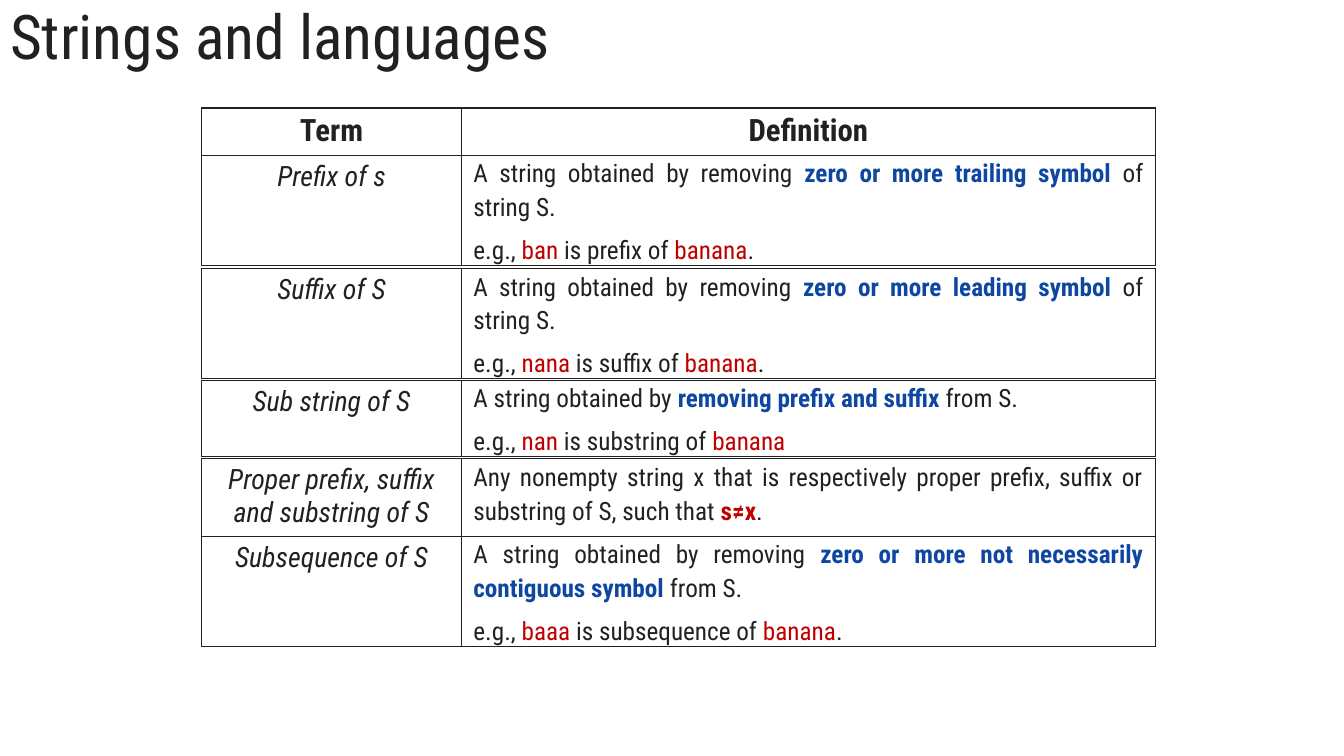
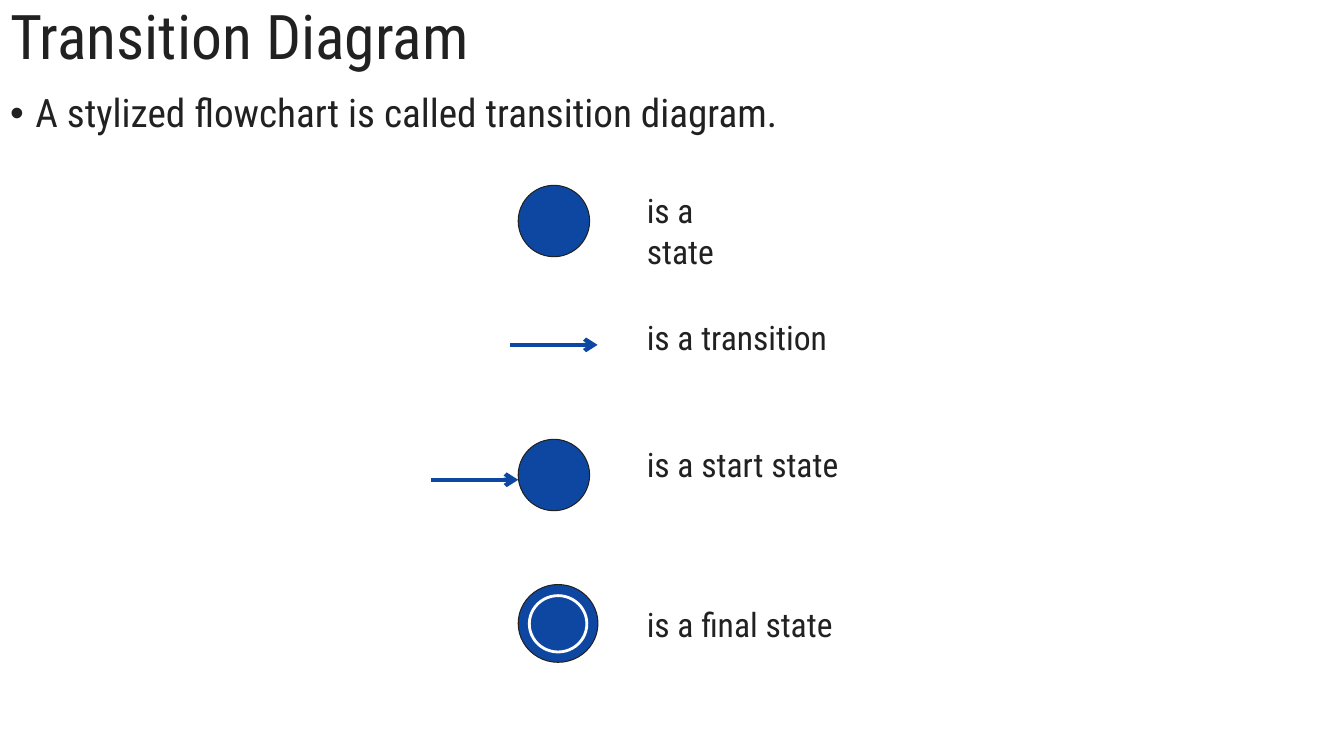
"""Build two slides on string terms and on the symbols of a transition diagram."""
from dataclasses import dataclass
from typing import Any, NamedTuple

from lxml import etree
from pptx import Presentation
from pptx.dml.color import RGBColor
from pptx.enum.shapes import MSO_CONNECTOR, MSO_SHAPE
from pptx.enum.text import MSO_ANCHOR, MSO_AUTO_SIZE, PP_ALIGN
from pptx.oxml.ns import qn
from pptx.util import Cm, Pt

LEFT, CENTER, JUSTIFY = PP_ALIGN.LEFT, PP_ALIGN.CENTER, PP_ALIGN.JUSTIFY
TOP, MIDDLE = MSO_ANCHOR.TOP, MSO_ANCHOR.MIDDLE
FIXED, GROW = MSO_AUTO_SIZE.NONE, MSO_AUTO_SIZE.SHAPE_TO_FIT_TEXT
OVAL, STRAIGHT = MSO_SHAPE.OVAL, MSO_CONNECTOR.STRAIGHT

FONT = "Roboto Condensed"
INK, BLUE, RED, WHITE = "212121", "0E47A1", "C00000", "FFFFFF"
SLIDE_WIDTH, SLIDE_HEIGHT = 33.87, 19.05
TITLE_ONLY, TITLE_AND_CONTENT = 5, 1
TABLE_LEFT, TERM_WIDTH, DEFINITION_WIDTH = 5.08, 6.55, 17.48
STATE_LEFT, STATE_SIZE = 13.06, 1.8
ARROW_LENGTH, MEANING_LEFT, MEANING_HEIGHT = 2.21, 16.05, 1.3

TITLE_FORMAT = {"alignment": LEFT, "line_spacing": 0.9, "space_before": Pt(0)}
BODY_FORMAT = {"alignment": LEFT, "line_spacing": 0.9, "space_before": Pt(0)}
TERM_FORMAT = {"alignment": CENTER}
DEFINITION_FORMAT = {"alignment": JUSTIFY, "line_spacing": 1.15, "space_after": Pt(6)}
DEFINITION_MARGINS = {"margin_left": Cm(0.3), "margin_right": Cm(0.3),
                      "margin_top": 0, "margin_bottom": 0}


class Piece(NamedTuple):
    """Hold a stretch of text with its colour and weight."""
    text: str
    color: str = INK
    bold: bool = False


@dataclass
class Entry:
    """Describe one term with the paragraphs of its definition."""
    term: str
    top: float
    height: float
    definition: list[list[Piece]]


@dataclass
class Circle:
    """Describe one circle of a state symbol."""
    left: float
    top: float
    width: float
    height: float
    outline: str = INK
    weight: float = 0.75


@dataclass
class Meaning:
    """Describe the words beside a symbol."""
    text: str
    top: float
    width: float
    wrap: bool = False


def example(part: str, relation: str, end: str = ".") -> list[Piece]:
    """Return the example line of a definition."""
    line = [Piece("e.g., "), Piece(part, RED), Piece(f" is {relation} of "), Piece("banana", RED)]
    return line + [Piece(end)] if end else line


ENTRIES = [
    Entry("Prefix of s", 3.91, 2.77, [
        [Piece("A string obtained by removing "),
         Piece("zero or more trailing symbol ", BLUE, True), Piece("of string S.")],
        example("ban", "prefix")]),
    Entry("Suffix of S", 6.76, 2.77, [
        [Piece("A string obtained by removing "),
         Piece("zero or more leading symbol ", BLUE, True), Piece("of string S.")],
        example("nana", "suffix")]),
    Entry("Sub string of S", 9.58, 1.9, [
        [Piece("A string obtained by "),
         Piece("removing prefix and suffix ", BLUE, True), Piece("from S.")],
        example("nan", "substring", "")]),
    Entry("Proper prefix, suffix and substring of S", 11.56, 1.96, [
        [Piece("Any nonempty string x that is respectively proper prefix, "
               "suffix or substring of S, such that "),
         Piece("s≠x", RED, True), Piece(".")]]),
    Entry("Subsequence of S", 13.51, 2.77, [
        [Piece("A string obtained by removing "),
         Piece("zero or more not necessarily contiguous symbol ", BLUE, True), Piece("from S.")],
        example("baaa", "subsequence")]),
]
CIRCLES = [
    Circle(STATE_LEFT, 4.67, STATE_SIZE, STATE_SIZE),
    Circle(STATE_LEFT, 11.07, STATE_SIZE, STATE_SIZE),
    Circle(STATE_LEFT, 14.73, 2.01, 1.96),
    Circle(13.34, 15.01, 1.45, 1.42, WHITE, 2),
]
ARROWS = [(12.85, 8.69), (STATE_LEFT - ARROW_LENGTH, 12.09)]
MEANINGS = [
    Meaning("is a state", 4.67, 2.6, True),
    Meaning("is a transition", 7.87, 5.16),
    Meaning("is a start state", 11.07, 5.51),
    Meaning("is a final state", 15.09, 5.23),
]


def rgb(color: str) -> RGBColor:
    """Return the colour of a hex string."""
    return RGBColor.from_string(color)


def apply(target: Any, values: dict[str, Any]) -> None:
    """Set the attributes of a target from a dict."""
    for name, value in values.items():
        setattr(target, name, value)


def write(paragraph: Any, pieces: list[Piece], size: float, layout: dict[str, Any],
          italic: bool = False) -> None:
    """Fill a paragraph with formatted pieces."""
    apply(paragraph, layout)
    for piece in pieces:
        run = paragraph.add_run()
        run.text = piece.text
        apply(run.font, {"name": FONT, "size": Pt(size), "bold": piece.bold, "italic": italic})
        run.font.color.rgb = rgb(piece.color)


def place(holder: Any, left: float, top: float, width: float, height: float) -> None:
    """Move a placeholder to a place given in centimetres."""
    apply(holder, {"left": Cm(left), "top": Cm(top), "width": Cm(width), "height": Cm(height)})


def add_titled_slide(deck: Any, layout: int, heading: str) -> Any:
    """Add a slide with its title."""
    slide = deck.slides.add_slide(deck.slide_layouts[layout])
    title = slide.shapes.title
    place(title, 0, 0, SLIDE_WIDTH, 1.98)
    apply(title.text_frame, {"vertical_anchor": MIDDLE, "auto_size": FIXED})
    write(title.text_frame.paragraphs[0], [Piece(heading)], 44, TITLE_FORMAT)
    return slide


def outline_cell(cell: Any) -> None:
    """Give a cell thin borders and no fill."""
    properties = cell._tc.get_or_add_tcPr()
    for side in ("lnL", "lnR", "lnT", "lnB"):
        border = etree.SubElement(properties, qn(f"a:{side}"), w=str(Pt(1)))
        fill = etree.SubElement(border, qn("a:solidFill"))
        etree.SubElement(fill, qn("a:srgbClr"), val=INK)
    cell.fill.background()


def add_row_table(slide: Any, top: float, height: float) -> tuple[Any, Any]:
    """Add a table of one row and return its two cells."""
    frame = slide.shapes.add_table(1, 2, Cm(TABLE_LEFT), Cm(top),
                                   Cm(TERM_WIDTH + DEFINITION_WIDTH), Cm(height))
    table = frame.table
    apply(table, {"first_row": False, "horz_banding": False})
    for column, width in zip(table.columns, (TERM_WIDTH, DEFINITION_WIDTH)):
        column.width = Cm(width)
    term, definition = table.cell(0, 0), table.cell(0, 1)
    for cell in (term, definition):
        outline_cell(cell)
    return term, definition


def add_header(slide: Any) -> None:
    """Add the heading row of the terms."""
    for cell, heading in zip(add_row_table(slide, 2.72, 1.19), ("Term", "Definition")):
        write(cell.text_frame.paragraphs[0], [Piece(heading, INK, True)], 22, TERM_FORMAT)


def add_entry(slide: Any, entry: Entry) -> None:
    """Add a term and its definition."""
    term, definition = add_row_table(slide, entry.top, entry.height)
    write(term.text_frame.paragraphs[0], [Piece(entry.term)], 20, TERM_FORMAT, True)
    apply(definition, DEFINITION_MARGINS)
    text = definition.text_frame
    for index, pieces in enumerate(entry.definition):
        paragraph = text.add_paragraph() if index else text.paragraphs[0]
        write(paragraph, pieces, 18, DEFINITION_FORMAT)


def add_statement(slide: Any, statement: str) -> None:
    """Fill the body with one bulleted statement."""
    body = slide.placeholders[1]
    place(body, 0, 2.24, 33.15, 15.52)
    apply(body.text_frame, {"vertical_anchor": TOP, "auto_size": FIXED})
    paragraph = body.text_frame.paragraphs[0]
    properties = paragraph._p.get_or_add_pPr()
    properties.set("marL", str(Cm(0.64)))
    properties.set("indent", str(-Cm(0.64)))
    etree.SubElement(properties, qn("a:buFont"), typeface="Arial")
    etree.SubElement(properties, qn("a:buChar"), char="•")
    write(paragraph, [Piece(statement)], 28, BODY_FORMAT)


def add_circle(slide: Any, circle: Circle) -> None:
    """Draw a circle of a state."""
    state = slide.shapes.add_shape(OVAL, Cm(circle.left), Cm(circle.top),
                                   Cm(circle.width), Cm(circle.height))
    state.shadow.inherit = False
    state.fill.solid()
    state.fill.fore_color.rgb = rgb(BLUE)
    state.line.color.rgb = rgb(circle.outline)
    state.line.width = Pt(circle.weight)


def add_arrow(slide: Any, left: float, top: float) -> None:
    """Draw a transition arrow to the right."""
    transition = slide.shapes.add_connector(STRAIGHT, Cm(left), Cm(top),
                                            Cm(left + ARROW_LENGTH), Cm(top))
    transition.line.color.rgb = rgb(BLUE)
    transition.line.width = Pt(3)
    etree.SubElement(transition.line._get_or_add_ln(), qn("a:tailEnd"), type="arrow")
    etree.SubElement(transition._element.spPr, qn("a:effectLst"))


def add_meaning(slide: Any, meaning: Meaning) -> None:
    """Write the meaning beside a symbol."""
    label = slide.shapes.add_textbox(Cm(MEANING_LEFT), Cm(meaning.top),
                                     Cm(meaning.width), Cm(MEANING_HEIGHT))
    apply(label.text_frame, {"word_wrap": meaning.wrap, "auto_size": GROW})
    write(label.text_frame.paragraphs[0], [Piece(meaning.text)], 24, {"alignment": LEFT})


def build_terms(deck: Any) -> None:
    """Build the slide of string terms."""
    slide = add_titled_slide(deck, TITLE_ONLY, "Strings and languages")
    add_header(slide)
    for entry in ENTRIES:
        add_entry(slide, entry)


def build_diagram(deck: Any) -> None:
    """Build the slide of transition diagram symbols."""
    slide = add_titled_slide(deck, TITLE_AND_CONTENT, "Transition Diagram")
    add_statement(slide, "A stylized flowchart is called transition diagram.")
    for circle in CIRCLES:
        add_circle(slide, circle)
    for left, top in ARROWS:
        add_arrow(slide, left, top)
    for meaning in MEANINGS:
        add_meaning(slide, meaning)


def main() -> None:
    """Build and save the presentation."""
    deck = Presentation()
    apply(deck, {"slide_width": Cm(SLIDE_WIDTH), "slide_height": Cm(SLIDE_HEIGHT)})
    build_terms(deck)
    build_diagram(deck)
    deck.save("out.pptx")


if __name__ == "__main__":
    main()
